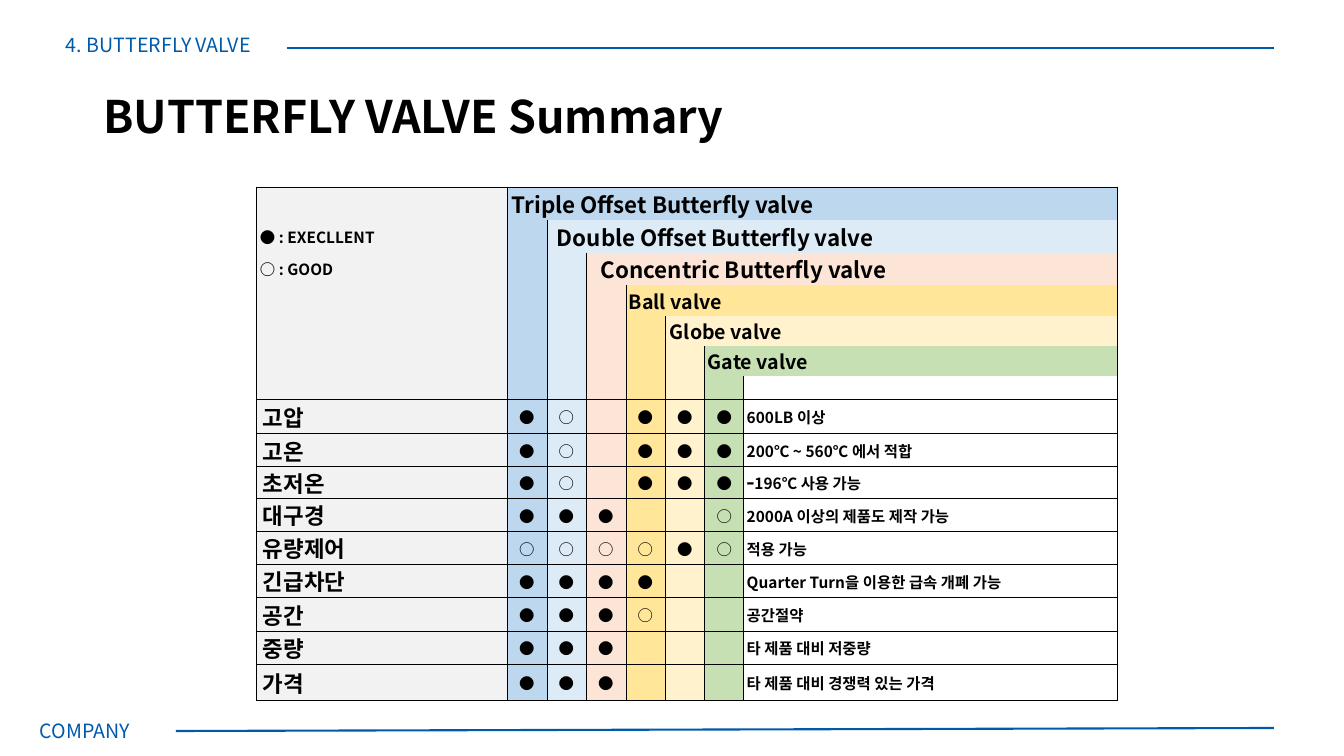
from lxml.etree import SubElement
from pptx import Presentation
from pptx.dml.color import RGBColor
from pptx.enum.shapes import MSO_CONNECTOR, MSO_SHAPE
from pptx.enum.text import MSO_ANCHOR, PP_ALIGN
from pptx.oxml.ns import qn
from pptx.util import Emu, Pt

COLORS = {
    "brand": "005AAB", "black": "000000", "white": "FFFFFF", "category": "F2F2F2",
    "triple": "BDD7EE", "double": "DDEBF7", "concentric": "FCE4D6",
    "ball": "FFE699", "globe": "FFF2CC", "gate": "C6E0B4",
}
TITLE_FONT = "Noto Sans CJK JP"
LABEL_FONT = "Noto Sans CJK KR"

# Valve name, colour, size, left margin
VALVES = [
    ("Triple Offset Butterfly valve", "triple", 16, 5),
    ("Double Offset Butterfly valve", "double", 16, 10),
    ("Concentric Butterfly valve", "concentric", 16, 15),
    ("Ball valve", "ball", 14, 3),
    ("Globe valve", "globe", 14, 5),
    ("Gate valve", "gate", 14, 3),
]
LEGEND = {1: "● : EXECLLENT", 2: "○ : GOOD"}
# Category, one mark per valve, note
RATINGS = [
    ("고압", "●○ ●●●", "600LB 이상"),
    ("고온", "●○ ●●●", "200℃ ~ 560℃ 에서 적합"),
    ("초저온", "●○ ●●●", "ｰ196℃ 사용 가능"),
    ("대구경", "●●●  ○", "2000A 이상의 제품도 제작 가능"),
    ("유량제어", "○○○○●○", "적용 가능"),
    ("긴급차단", "●●●●  ", "Quarter Turn을 이용한 급속 개폐 가능"),
    ("공간", "●●●○  ", "공간절약"),
    ("중량", "●●●   ", "타 제품 대비 저중량"),
    ("가격", "●●●   ", "타 제품 대비 경쟁력 있는 가격"),
]
COLUMN_WIDTHS = [251] + [40, 39] * 3 + [374]
ROW_HEIGHTS = [33, 33, 32, 31, 30, 30, 23, 35, 33, 32, 33, 33, 33, 34, 33, 36]
HEADER_ROWS = len(VALVES) + 1
NOTE_COLUMN = len(VALVES) + 1


def px(length):
    return Emu(round(length * 914400 / 100.8))


def rgb(name):
    return RGBColor.from_string(COLORS[name])


def write(frame, text, size=11, color="black", font=TITLE_FONT, bold=False,
          align=PP_ALIGN.LEFT, spacing=None):
    paragraph = frame.paragraphs[0]
    paragraph.alignment = align
    paragraph.line_spacing = spacing
    run = paragraph.add_run()
    run.text = text
    run.font.size = Pt(size)
    run.font.bold = bold
    run.font.name = font
    run.font.color.rgb = rgb(color)
    SubElement(run.font._element, qn("a:ea"), typeface=font)


def add_rule(slide, x1, y1, x2, y2):
    rule = slide.shapes.add_connector(
        MSO_CONNECTOR.STRAIGHT, px(x1), px(y1), px(x2), px(y2))
    rule.line.color.rgb = rgb("brand")
    rule.line.width = Pt(1.5)
    SubElement(rule._element.spPr, qn("a:effectLst"))


def add_section_label(slide, text):
    label = slide.shapes.add_shape(
        MSO_SHAPE.RECTANGLE, px(30), px(28), px(257), px(34))
    label.shadow.inherit = False
    label.fill.solid()
    label.fill.fore_color.rgb = rgb("white")
    label.line.fill.background()
    write(label.text_frame, text, size=14, color="brand", font=LABEL_FONT,
          align=PP_ALIGN.CENTER)


def add_footer(slide, text):
    footer = slide.shapes.add_textbox(px(30), px(714), px(146), px(34))
    footer.text_frame.word_wrap = True
    write(footer.text_frame, text, size=14, color="brand", font=LABEL_FONT)


def format_cell(cell, fill, edges):
    """Draw the named edges (L, R, T, B), fill the cell and clear its margins."""
    properties = cell._tc.get_or_add_tcPr()
    for side in "LRTB":
        border = SubElement(properties, qn("a:ln" + side), w=str(Pt(0.5)))
        if side in edges:
            solid = SubElement(border, qn("a:solidFill"))
            SubElement(solid, qn("a:srgbClr"), val=COLORS["black"])
        else:
            SubElement(border, qn("a:noFill"))
    if fill:
        cell.fill.solid()
        cell.fill.fore_color.rgb = rgb(fill)
    else:
        cell.fill.background()
    cell.margin_left = cell.margin_right = cell.margin_top = cell.margin_bottom = 0
    cell.vertical_anchor = MSO_ANCHOR.MIDDLE
    # Keeps blank cells from stretching their row
    cell.text_frame.paragraphs[0]._p.get_or_add_endParaRPr().set("sz", "1100")


def write_cell(cell, text, margin=0, **text_format):
    cell.margin_left = px(margin)
    write(cell.text_frame, text, **text_format)


def fill_header(table, fills):
    """Build the staircase: each valve's band runs right, its column runs down."""
    for row in range(HEADER_ROWS):
        for column in range(len(fills)):
            owner = min(column, row + 1)
            edges = "L" if column == owner else ""
            edges += "R" if column in (owner, NOTE_COLUMN) else ""
            edges += "T" if row == 0 else ""
            edges += "B" if row == HEADER_ROWS - 1 else ""
            format_cell(table.cell(row, column), fills[owner], edges)
    for row, text in LEGEND.items():
        write_cell(table.cell(row, 0), text, margin=4, bold=True)
    for row, (name, _, size, margin) in enumerate(VALVES):
        band = table.cell(row, row + 1)
        band.merge(table.cell(row, NOTE_COLUMN))
        write_cell(band, name, margin=margin, size=size, bold=True)


def fill_ratings(table, fills):
    for row, (category, marks, note) in enumerate(RATINGS, HEADER_ROWS):
        for column, fill in enumerate(fills):
            format_cell(table.cell(row, column), fill, "LRTB")
        write_cell(table.cell(row, 0), category, margin=7, size=16, bold=True)
        for column, mark in enumerate(marks, 1):
            if mark != " ":
                write_cell(table.cell(row, column), mark, align=PP_ALIGN.CENTER)
        write_cell(table.cell(row, NOTE_COLUMN), note, margin=3, bold=True)


def add_valve_table(slide):
    table = slide.shapes.add_table(
        len(ROW_HEIGHTS), len(COLUMN_WIDTHS), px(256), px(187),
        px(sum(COLUMN_WIDTHS)), px(sum(ROW_HEIGHTS))).table
    table.first_row = table.horz_banding = False
    for column, width in zip(table.columns, COLUMN_WIDTHS):
        column.width = px(width)
    for row, height in zip(table.rows, ROW_HEIGHTS):
        row.height = px(height)
    fills = ["category"] + [valve[1] for valve in VALVES] + [None]
    fill_header(table, fills)
    fill_ratings(table, fills)


def set_title(slide, text):
    title = slide.shapes.title
    title.left, title.top, title.width, title.height = px(93), px(95), px(745), px(48)
    title.text_frame.vertical_anchor = MSO_ANCHOR.MIDDLE
    write(title.text_frame, text, size=32, bold=True, spacing=0.9)


def main():
    presentation = Presentation()
    presentation.slide_width, presentation.slide_height = px(1344), px(756)
    slide = presentation.slides.add_slide(presentation.slide_layouts[5])
    add_rule(slide, 1274, 48, 50, 48)
    add_footer(slide, "COMPANY")
    add_rule(slide, 1274, 728, 176, 731)
    set_title(slide, "BUTTERFLY VALVE Summary")
    add_valve_table(slide)
    add_section_label(slide, "4. BUTTERFLY VALVE")
    presentation.save("out.pptx")


if __name__ == "__main__":
    main()
